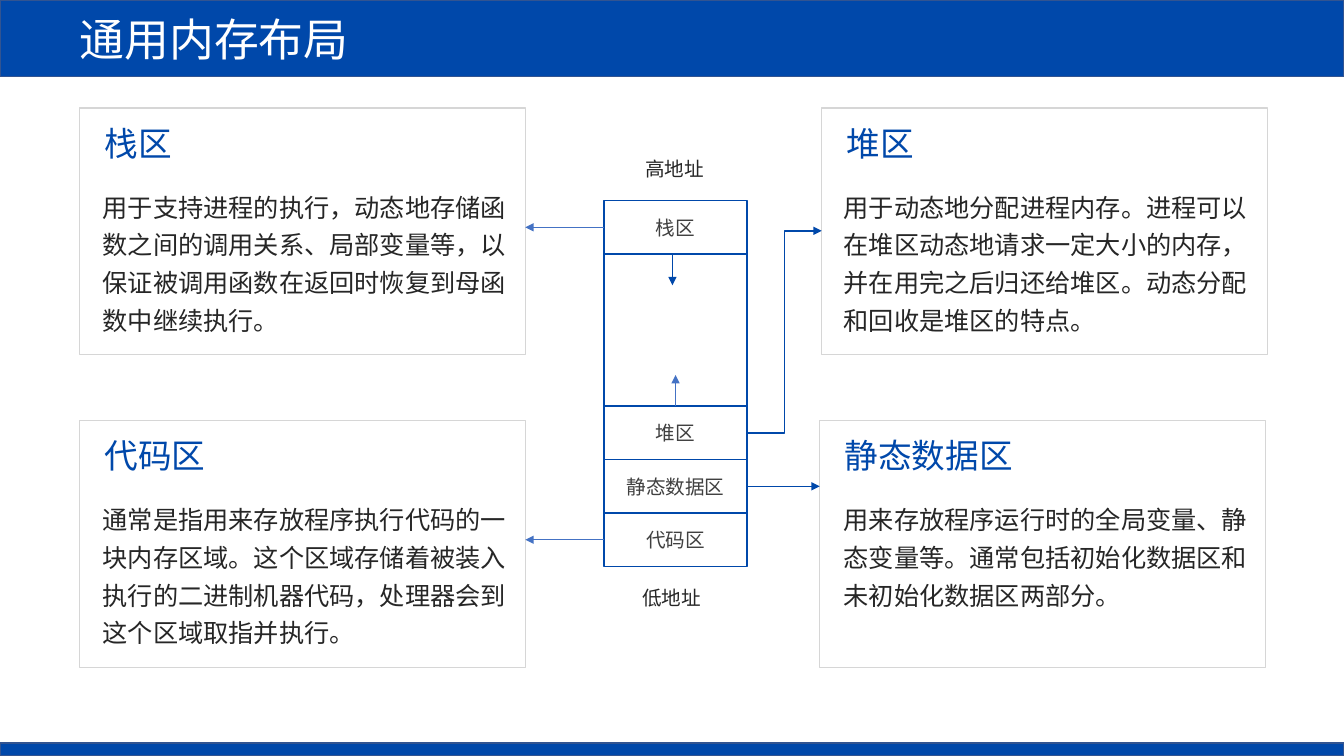
from lxml.etree import SubElement
from pptx import Presentation
from pptx.dml.color import RGBColor
from pptx.enum.shapes import MSO_CONNECTOR, MSO_SHAPE
from pptx.enum.text import MSO_ANCHOR, PP_ALIGN
from pptx.oxml.ns import qn
from pptx.util import Inches, Pt

HUES = {
    "blue": "0048AA", "edge": "325491", "pale": "D6D6D6", "sky": "4472C4",
    "ink": "262626", "gray": "404040", "white": "FFFFFF",
}


class Deck:
    font = "Noto Sans CJK SC"

    def __init__(self):
        self.prs = Presentation()
        self.prs.slide_width = Inches(13.33)
        self.prs.slide_height = Inches(7.5)
        self.slide = self.prs.slides.add_slide(self.prs.slide_layouts[6])

    def hue(self, name):
        return RGBColor.from_string(HUES[name])

    def label(self, frame, text, size, hue, align=PP_ALIGN.LEFT, space=None):
        par = frame.paragraphs[0]
        par.text = text
        par.alignment = align
        if space:
            par.line_spacing = space
        par.font.size = Pt(size)
        par.font.name = self.font
        par.font.color.rgb = self.hue(hue)
        # East Asian typeface
        props = par._p.pPr.find(qn("a:defRPr"))
        SubElement(props, qn("a:ea")).set("typeface", self.font)

    def rect(self, x, y, w, h, line, fill=None):
        box = self.slide.shapes.add_shape(
            MSO_SHAPE.RECTANGLE, Inches(x), Inches(y), Inches(w), Inches(h))
        box.shadow.inherit = False
        if fill:
            box.fill.solid()
            box.fill.fore_color.rgb = self.hue(fill)
        else:
            box.fill.background()
        box.line.color.rgb = self.hue(line)
        box.line.width = Pt(1)
        box.text_frame.vertical_anchor = MSO_ANCHOR.MIDDLE
        return box

    def text(self, x, y, w, h, text, size, hue, wrap=False, space=None):
        box = self.slide.shapes.add_textbox(
            Inches(x), Inches(y), Inches(w), Inches(h))
        box.text_frame.word_wrap = wrap
        self.label(box.text_frame, text, size, hue, space=space)

    def arrow(self, x1, y1, x2, y2, hue, kind=MSO_CONNECTOR.STRAIGHT):
        link = self.slide.shapes.add_connector(
            kind, Inches(x1), Inches(y1), Inches(x2), Inches(y2))
        link.line.color.rgb = self.hue(hue)
        link.line.width = Pt(1)
        props = link._element.spPr
        SubElement(props.find(qn("a:ln")), qn("a:tailEnd")).set("type", "triangle")
        SubElement(props, qn("a:effectLst"))

    def card(self, x, y, left, head, body, rows):
        self.rect(x, y, 4.42, 2.45, "pale")
        self.text(x + 0.15, y + 0.1, len(head) / 3 + 0.21, 0.5, head, 24, "blue")
        self.text(left, y + 0.71, 4.21, 0.38 * rows + 0.06, body, 18, "ink",
                  wrap=True, space=1.25)


def main():
    deck = Deck()

    # Title bar and footer
    bar = deck.rect(0, 0, 13.33, 0.76, "edge", "blue")
    bar.text_frame.margin_left = Inches(0.79)
    deck.label(bar.text_frame, "通用内存布局", 32, "white")
    deck.rect(0, 7.37, 13.33, 0.13, "edge", "blue")

    # Cards
    cards = [
        (0.79, 1.07, 0.92, "栈区", "用于支持进程的执行，动态地存储函数之间的调用关系、局部变量等，以保证被调用函数在返回时恢复到母函数中继续执行。", 4),
        (8.15, 1.07, 8.27, "堆区", "用于动态地分配进程内存。进程可以在堆区动态地请求一定大小的内存，并在用完之后归还给堆区。动态分配和回收是堆区的特点。", 4),
        (0.79, 4.17, 0.92, "代码区", "通常是指用来存放程序执行代码的一块内存区域。这个区域存储着被装入执行的二进制机器代码，处理器会到这个区域取指并执行。", 4),
        (8.13, 4.17, 8.27, "静态数据区", "用来存放程序运行时的全局变量、静态变量等。通常包括初始化数据区和未初始化数据区两部分。", 3),
    ]
    for card in cards:
        deck.card(*card)

    # Memory column, from high to low address
    left, wide, top = 5.99, 1.42, 1.99
    right = left + wide
    mids = {}
    for name, high in [("栈区", 0.53), ("", 1.51), ("堆区", 0.53),
                       ("静态数据区", 0.53), ("代码区", 0.53)]:
        cell = deck.rect(left, top, wide, high, "blue")
        if name:
            deck.label(cell.text_frame, name, 14, "gray", PP_ALIGN.CENTER)
            mids[name] = top + high / 2
        top += high
    deck.text(6.3, 1.51, 0.79, 0.34, "高地址", 14, "ink")
    deck.text(6.27, 5.76, 0.79, 0.34, "低地址", 14, "ink")

    # Growth arrows
    deck.arrow(6.67, 2.52, 6.67, 2.83, "blue")
    deck.arrow(6.7, 4.03, 6.7, 3.72, "sky")

    # Links from column to cards
    for name, start, end, hue in [("栈区", left, 5.21, "sky"),
                                  ("代码区", left, 5.21, "sky"),
                                  ("静态数据区", right, 8.13, "blue")]:
        deck.arrow(start, mids[name], end, mids[name], hue)
    deck.arrow(right, mids["堆区"], 8.15, 2.29, "blue", MSO_CONNECTOR.ELBOW)

    deck.prs.save("out.pptx")


if __name__ == "__main__":
    main()
